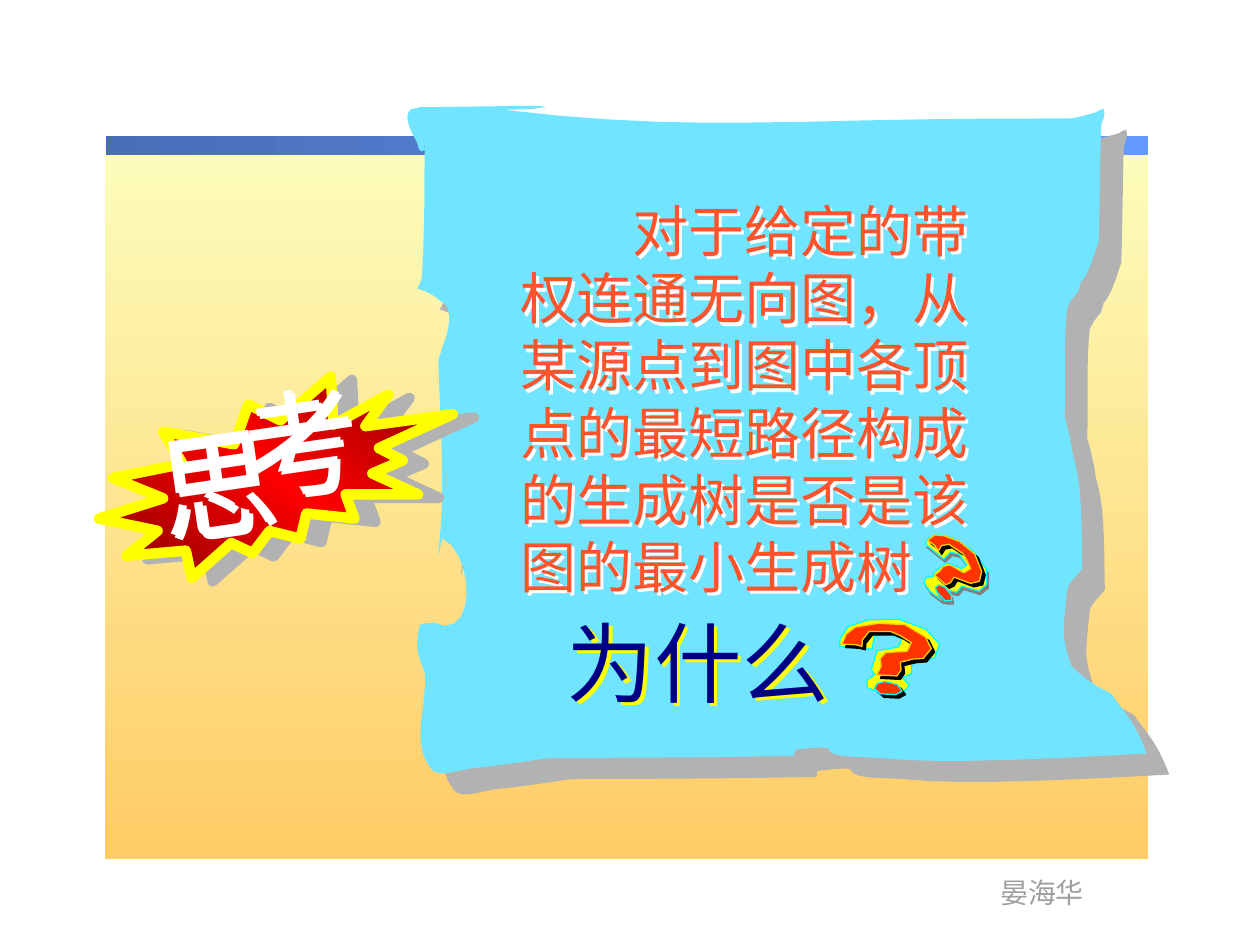
from dataclasses import dataclass
from typing import Any, Optional

from lxml.etree import SubElement
from pptx import Presentation
from pptx.dml.color import RGBColor
from pptx.enum.shapes import MSO_SHAPE
from pptx.enum.text import MSO_AUTO_SIZE
from pptx.oxml.ns import qn
from pptx.util import Pt


@dataclass(frozen=True)
class Shadow:
    color: str
    distance: float
    angle: float


@dataclass(frozen=True)
class Preset:
    kind: MSO_SHAPE
    place: tuple[float, float, float, float]
    colors: tuple[str, ...]
    angle: float
    rotation: float = 0
    line: Optional[tuple[str, float]] = None
    shadow: Optional[Shadow] = None


@dataclass(frozen=True)
class Outline:
    points: str
    fill: str
    line: Optional[tuple[str, float]] = None
    shadow: Optional[Shadow] = None
    rotation: float = 0
    curved: bool = False


@dataclass(frozen=True)
class Words:
    lines: tuple[str, ...]
    place: tuple[float, float, float, float]
    size: float
    color: str
    font: str = "Times New Roman"
    shadow: Optional[Shadow] = None
    rotation: float = 0
    first_indent: float = 0
    wrap: bool = True


def rgb(color: str) -> RGBColor:
    return RGBColor.from_string(color)


def apply(target: Any, values: dict[str, Any]) -> None:
    for name, value in values.items():
        setattr(target, name, value)


def add_shadow(shape: Any, shadow: Optional[Shadow]) -> None:
    shape.shadow.inherit = False
    if shadow:
        effects = shape._element.spPr.find(qn("a:effectLst"))
        outer = SubElement(effects, qn("a:outerShdw"), blurRad="0", dist=str(Pt(shadow.distance)),
                           dir=str(round(shadow.angle * 60000)), algn="ctr", rotWithShape="0")
        SubElement(outer, qn("a:srgbClr"), val=shadow.color)


def finish(shape: Any, item: Preset | Outline) -> None:
    shape.rotation = item.rotation
    if item.line:
        color, width = item.line
        shape.line.color.rgb = rgb(color)
        shape.line.width = Pt(width)
    else:
        shape.line.fill.background()
    add_shadow(shape, item.shadow)


def draw_preset(page: Any, item: Preset) -> None:
    shape = page.shapes.add_shape(item.kind, *map(Pt, item.place))
    shape.fill.gradient()
    shape.fill.gradient_angle = -item.angle % 360
    stops = shape._element.spPr.find(qn("a:gradFill")).find(qn("a:gsLst"))
    for stop in list(stops):
        stops.remove(stop)
    for index, color in enumerate(item.colors):
        position = 100000 * index // (len(item.colors) - 1)
        stop = SubElement(stops, qn("a:gs"), pos=str(position))
        SubElement(stop, qn("a:srgbClr"), val=color)
    finish(shape, item)


def flatten(points: list[tuple[float, ...]], steps: int = 10) -> list[tuple[float, ...]]:
    result = [points[0]]
    for start in range(0, len(points) - 3, 3):
        controls = points[start:start + 4]
        for step in range(1, steps + 1):
            t = step / steps
            weights = ((1 - t) ** 3, 3 * t * (1 - t) ** 2, 3 * t * t * (1 - t), t ** 3)
            result.append(tuple(sum(w * p[axis] for w, p in zip(weights, controls)) for axis in (0, 1)))
    return result


def draw_outline(page: Any, item: Outline) -> None:
    points = [tuple(float(part) * 10 for part in pair.split(",")) for pair in item.points.split()]
    if item.curved:
        points = flatten(points)
    builder = page.shapes.build_freeform(*points[0], scale=Pt(0.72) / 10)
    builder.add_line_segments(points[1:], close=True)
    shape = builder.convert_to_shape()
    shape.fill.solid()
    shape.fill.fore_color.rgb = rgb(item.fill)
    finish(shape, item)


def draw_words(page: Any, item: Words) -> None:
    box = page.shapes.add_textbox(*map(Pt, item.place))
    box.rotation = item.rotation
    add_shadow(box, item.shadow)
    frame = box.text_frame
    apply(frame, {"word_wrap": item.wrap, "auto_size": MSO_AUTO_SIZE.SHAPE_TO_FIT_TEXT})
    for index, line in enumerate(item.lines):
        para = frame.paragraphs[0] if index == 0 else frame.add_paragraph()
        if index == 0 and item.first_indent:
            para._p.get_or_add_pPr().set("indent", str(Pt(item.first_indent)))
        span = para.add_run()
        span.text = line
        apply(span.font, {"name": item.font, "size": Pt(item.size)})
        span.font.color.rgb = rgb(item.color)


SCROLL_LEFT = """337,111 337,147 337,183 335,219 335,223 331,229 331,229 342,232 346,236 355,243
360,258 352,271 348,286 349,319 351,352 351,385 351,430 344,459 351,427 378,441 378,511 344,494
340,495 334,494 333,497 329,514 332,521 337,533 340,559 325,588 342,610"""
SCROLL_BOTTOM = """349,619 368,609 382,609
483,597 362,604 630,600 631,598 630,595 632,595 674,590 646,597 670,600 681,601 692,601 703,602
758,608 904,598 910,598"""
SCROLL_RIGHT = """904,581 897,570 885,555 884,554 883,551 881,550 867,543 860,538 850,528
843,504 843,506 847,468 848,462 856,456 859,451 858,427 860,389 852,363 850,350 848,342 845,331
846,302 844,273 847,245 848,240 856,231 856,231 861,213 855,232 863,216 867,208 869,200 872,192
873,161 873,131 874,101 874,96 878,92 876,87"""
SCROLL_TOP = """876,85 872,88 870,89 852,94 865,91 850,94
631,93 554,106 399,87 411,87 422,87 433,85 435,85 428,84 426,84 395,84 364,85 333,85
331,86 328,86 326,87 319,93 328,107 331,113 332,115 332,120 335,120 339,119 337,114 337,111"""
SMALL_RIM = """749,440 756,439 765,445 762,449 749,449 743,459 743,463 738,466 738,470 745,475
756,478 762,475 759,469 765,468 767,462 781,461 785,454 781,443 766,433 748,429 736,430 729,436
728,441 746,447"""
SMALL_HOOK = """731,437 738,439 742,442 743,437 748,434 761,437 766,441 771,446 767,451 755,449
750,452 749,456 746,461 757,465 760,462 761,457 769,457 775,457 781,453 780,445 770,434 755,429
742,429 735,431"""
SMALL_DOT = "748,466 743,466 741,469 744,472 752,476 757,474 755,470"
LARGE_RIM = """693,506 701,503 715,506 713,513 696,517 692,532 695,536 689,541 690,547 702,550
718,549 723,543 717,537 724,534 724,526 742,520 745,509 734,498 712,491 687,493 672,499 666,509
666,515 692,516"""
LARGE_HOOK = """668,513 679,513 684,514 684,509 689,502 706,501 714,504 723,509 720,516 703,518
699,523 700,529 697,536 713,536 716,531 715,525 725,522 733,521 739,513 734,504 717,495 696,495
678,499 671,505"""
LARGE_DOT = "702,541 696,543 694,547 699,551 711,551 716,548 712,543"

QUESTION = ("对于给定的带", "权连通无向图，从", "某源点到图中各顶", "点的最短路径构成", "的生成树是否是该", "图的最小生成树")
CYAN_LINE = ("00FFFF", 0.75)
GOLD_LINE = ("FFCC00", 0.75)
BLACK_SHADOW = Shadow("000000", 2.8, 45)
GRAY_SHADOW = Shadow("808080", 2.2, 63)
WHITE_SHADOW = Shadow("FFFFFF", 2.8, 45)
YELLOW_SHADOW = Shadow("FFFF00", 2.8, 45)
SMALL_TURN, LARGE_TURN, BURST_TURN = 20.7, 3, 351.6

ITEMS = (
    Preset(MSO_SHAPE.RECTANGLE, (59.8, 79.2, 596.2, 411.8), ("FCFEBC", "FFCC66"), 90),
    Preset(MSO_SHAPE.RECTANGLE, (60.5, 77.8, 595.4, 10.8), ("496DB6", "6699FF"), 0),
    Words(("晏海华",), (564.5, 496.8, 62.6, 26.6), 16, "9F9F9F", "Arial Narrow", wrap=False),
    Outline(" ".join((SCROLL_LEFT, SCROLL_BOTTOM, SCROLL_RIGHT, SCROLL_TOP)), "71E4FF",
            shadow=Shadow("B2B2B2", 17.7, 43), curved=True),
    Words(QUESTION, (290.2, 108.7, 342, 237.6), 32, "FF532B", shadow=WHITE_SHADOW, first_indent=64),
    Outline(SMALL_RIM, "FFFF00", CYAN_LINE, GRAY_SHADOW, SMALL_TURN),
    Outline(SMALL_HOOK, "FF3300", GOLD_LINE, BLACK_SHADOW, SMALL_TURN),
    Outline(SMALL_DOT, "FF3300", CYAN_LINE, GRAY_SHADOW, SMALL_TURN),
    Preset(MSO_SHAPE.EXPLOSION2, (54, 220.3, 208.8, 102.2), ("760000", "FF0000", "760000"), 315,
           BURST_TURN, ("FFFF00", 6), Shadow("B2B2B2", 12.2, 9)),
    Words(("思",), (82.8, 223.2, 203.8, 86.4), 66, "FFFFFF", shadow=WHITE_SHADOW, rotation=BURST_TURN),
    Words(("考",), (131.8, 207.4, 95.8, 86.4), 66, "FFFFFF", shadow=WHITE_SHADOW, rotation=BURST_TURN),
    Words(("为什么",), (316.8, 344.2, 193, 67), 50, "000084", shadow=YELLOW_SHADOW),
    Outline(LARGE_RIM, "FFFF00", CYAN_LINE, rotation=LARGE_TURN),
    Outline(LARGE_HOOK, "FF3300", GOLD_LINE, BLACK_SHADOW, LARGE_TURN),
    Outline(LARGE_DOT, "FF3300", CYAN_LINE, BLACK_SHADOW, LARGE_TURN),
)
DRAWERS = {Preset: draw_preset, Outline: draw_outline, Words: draw_words}

deck = Presentation()
apply(deck, {"slide_width": Pt(720), "slide_height": Pt(540)})
page = deck.slides.add_slide(deck.slide_layouts[6])
for item in ITEMS:
    DRAWERS[type(item)](page, item)
deck.save("out.pptx")
